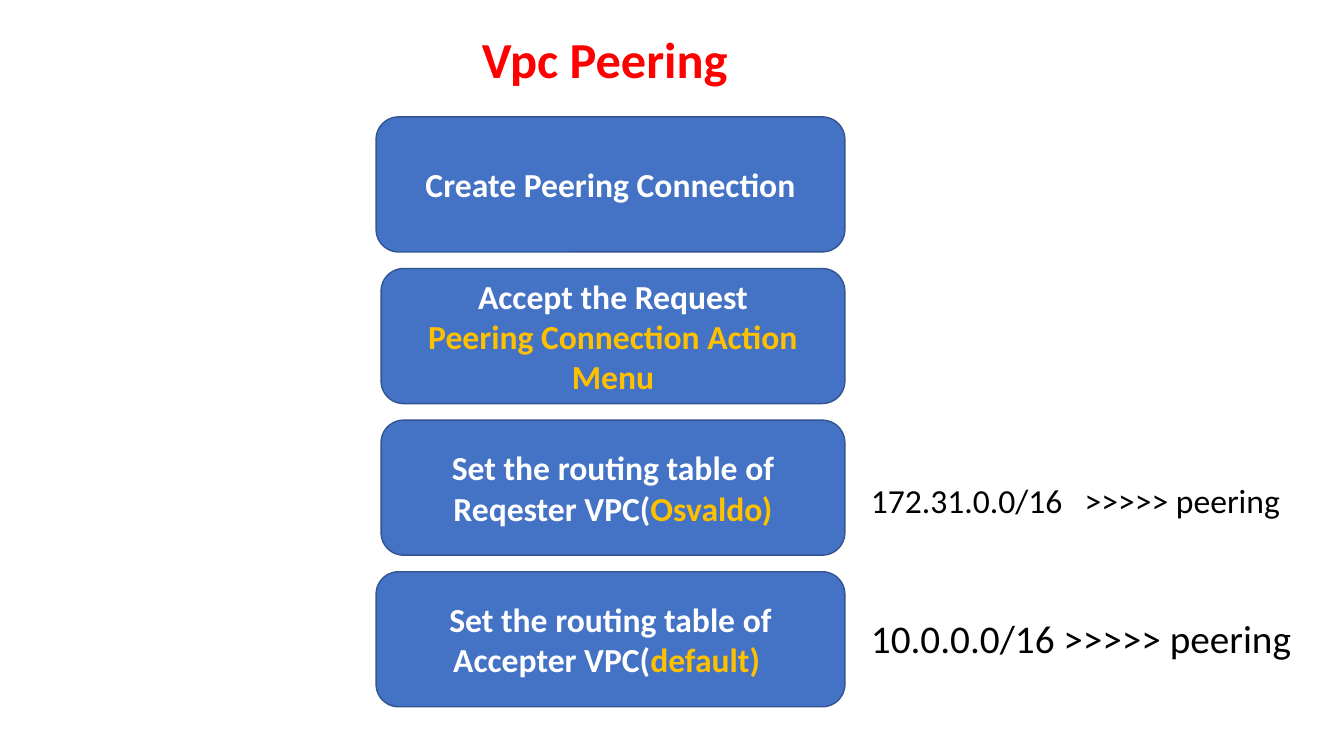
"""Builds a slide with the four steps of VPC peering and their routes."""
from lxml import etree
from pptx import Presentation
from pptx import util as u
from pptx.dml.color import RGBColor
from pptx.enum import shapes, text
from pptx.oxml import ns

WIDTH, HEIGHT = u.Inches(13.33), u.Inches(7.5)
FONT = "Calibri"
RED = RGBColor(0xFF, 0x00, 0x00)
BLUE = RGBColor(0x44, 0x72, 0xC4)
DARK_BLUE = RGBColor(0x32, 0x54, 0x91)
GOLD = RGBColor(0xFF, 0xC0, 0x00)
WHITE = RGBColor(0xFF, 0xFF, 0xFF)
BLACK = RGBColor(0x00, 0x00, 0x00)

STEP_RIGHT = u.Inches(8.38)
WIDE, NARROW = u.Inches(4.65), u.Inches(4.6)
STEP_HEIGHT = u.Inches(1.34)
FIRST_ROW, ROW_PITCH = u.Inches(1.16), u.Inches(1.504)
ROUTE_LEFT = u.Inches(8.54)

STEPS = [
    (WIDE, [[("Create Peering Connection", WHITE)]]),
    (NARROW, [[("Accept the Request", WHITE)],
              [("Peering Connection Action Menu", GOLD)]]),
    (NARROW, [[("Set the routing table of Reqester VPC(", WHITE),
               ("Osvaldo)", GOLD)]]),
    (WIDE, [[("Set the routing table of Accepter VPC(", WHITE),
             ("default) ", GOLD)]]),
]


def style(run, size, color, bold):
    """Set the font of one run."""
    run.font.name = FONT
    run.font.size = u.Pt(size)
    run.font.bold = bold
    run.font.color.rgb = color


def add_step(slide, row, width, lines):
    """Add one rounded step, aligned at the right edge of the column."""
    step = slide.shapes.add_shape(
        shapes.MSO_SHAPE.ROUNDED_RECTANGLE, STEP_RIGHT - width,
        FIRST_ROW + int(row * ROW_PITCH), width, STEP_HEIGHT)
    step.shadow.inherit = False
    step.fill.solid()
    step.fill.fore_color.rgb = BLUE
    step.line.color.rgb = DARK_BLUE
    step.line.width = u.Pt(1)
    frame = step.text_frame
    frame.word_wrap = True
    frame.vertical_anchor = text.MSO_ANCHOR.MIDDLE
    for index, parts in enumerate(lines):
        paragraph = frame.paragraphs[0] if index == 0 else frame.add_paragraph()
        paragraph.alignment = text.PP_ALIGN.CENTER
        for wording, color in parts:
            run = paragraph.add_run()
            run.text = wording
            style(run, 24, color, True)


def add_label(slide, box, wording, size, color, bold=False):
    """Add one line of unwrapped text and return its paragraph."""
    frame = slide.shapes.add_textbox(*box).text_frame
    frame.word_wrap = False
    frame.auto_size = text.MSO_AUTO_SIZE.SHAPE_TO_FIT_TEXT
    frame.text = wording
    paragraph = frame.paragraphs[0]
    for run in paragraph.runs:
        style(run, size, color, bold)
    return paragraph


def add_tab_stop(paragraph, position):
    """Give a paragraph one left tab stop."""
    stops = etree.SubElement(paragraph._p.get_or_add_pPr(), ns.qn("a:tabLst"))
    etree.SubElement(stops, ns.qn("a:tab"), pos=str(position), algn="l")


def main():
    """Build and save the slide."""
    deck = Presentation()
    deck.slide_width, deck.slide_height = WIDTH, HEIGHT
    slide = deck.slides.add_slide(deck.slide_layouts[6])

    title_box = u.Inches(4.68), u.Inches(0.23), u.Inches(2.78), u.Inches(0.71)
    add_label(slide, title_box, "Vpc Peering", 36, RED, True)
    for row, (width, lines) in enumerate(STEPS):
        add_step(slide, row, width, lines)

    requester_box = ROUTE_LEFT, u.Inches(4.71), u.Inches(4.3), u.Inches(0.5)
    requester_route = add_label(
        slide, requester_box, "172.31.0.0/16\t>>>>> peering", 24, BLACK)
    add_tab_stop(requester_route, u.Inches(2.12))
    accepter_box = ROUTE_LEFT, u.Inches(6.05), u.Inches(4.43), u.Inches(0.57)
    add_label(slide, accepter_box, "10.0.0.0/16 >>>>> peering", 28, BLACK)
    deck.save("out.pptx")


if __name__ == "__main__":
    main()
